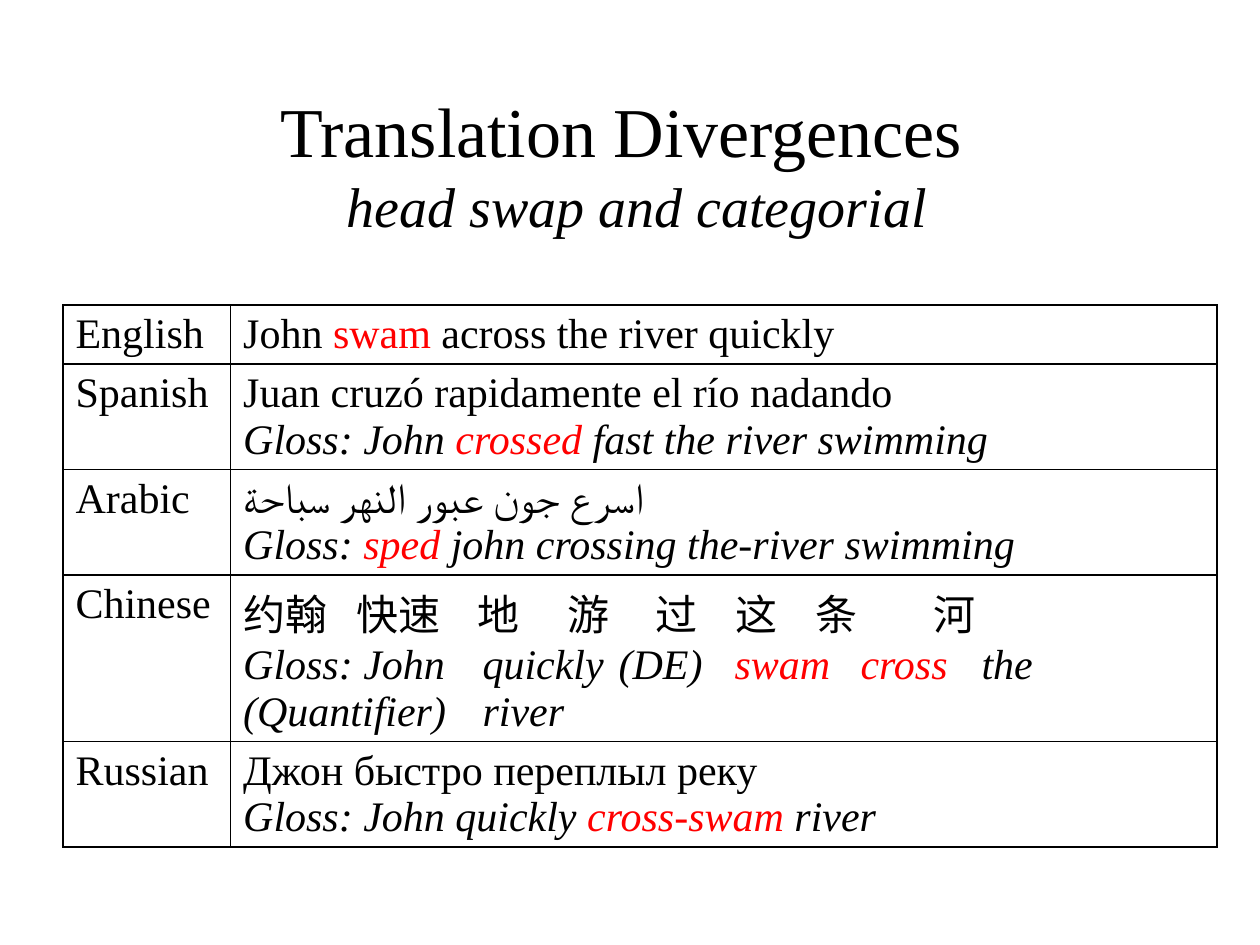
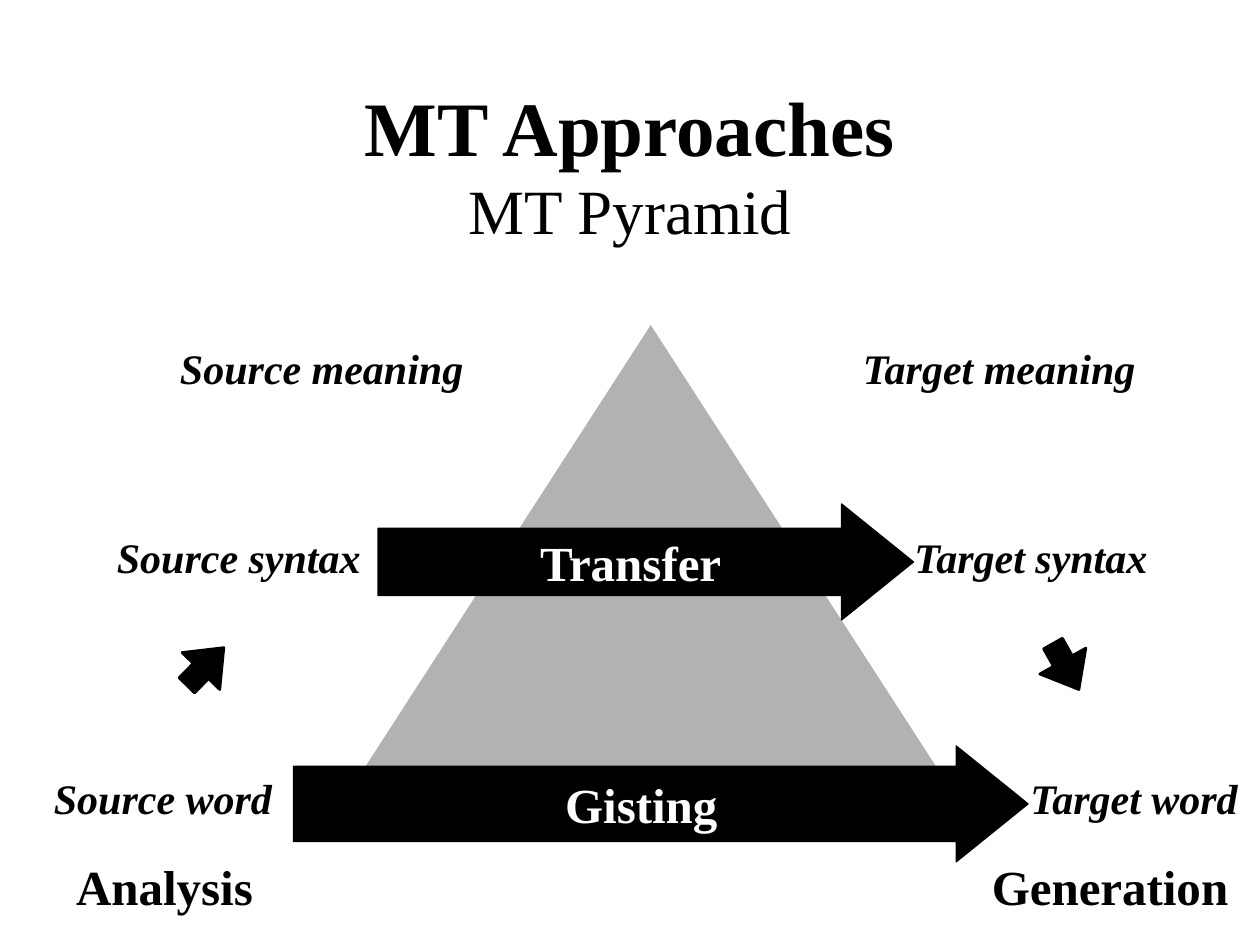
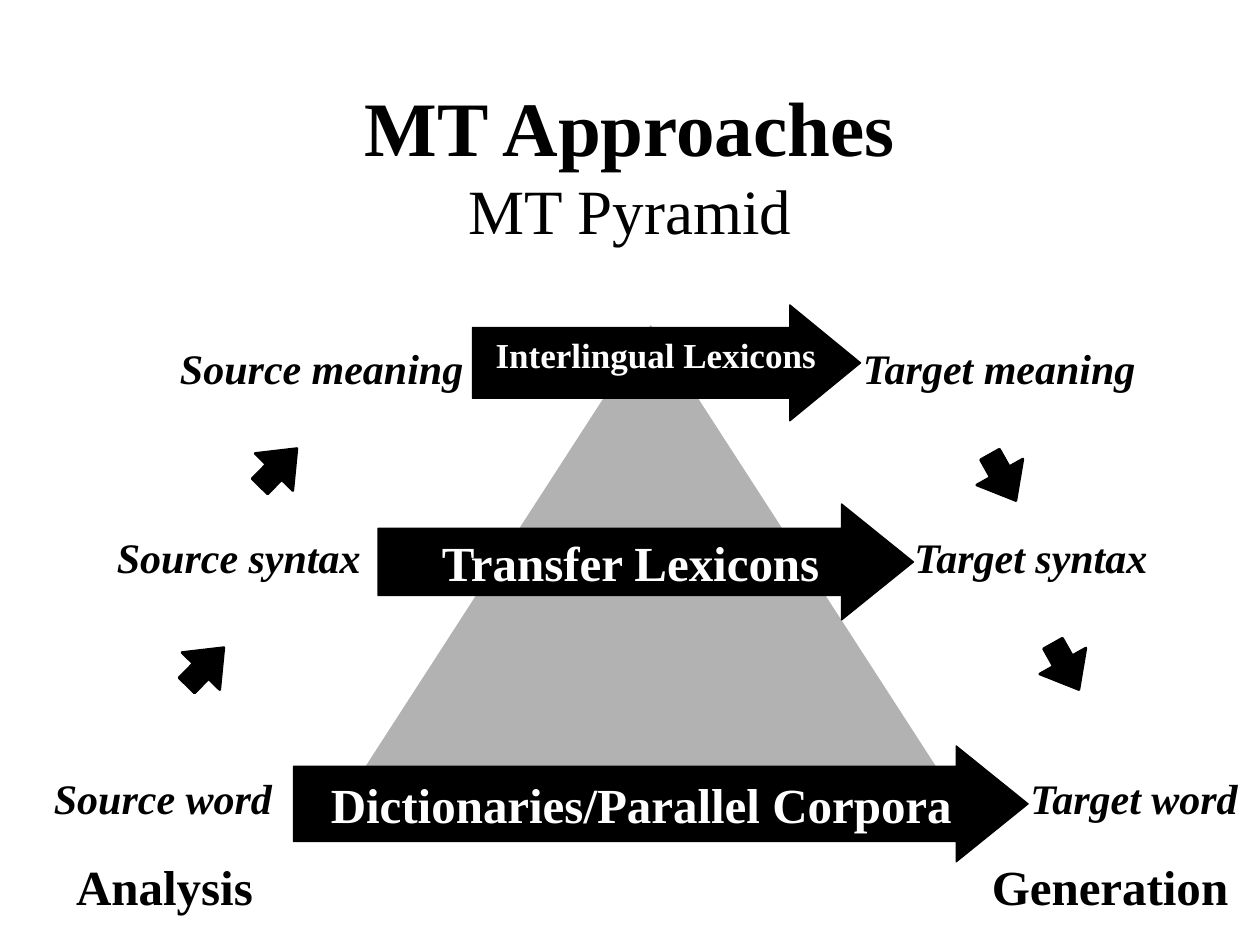
"""Build three slides on translation divergences and the MT pyramid."""
from copy import deepcopy
from dataclasses import dataclass

from pptx import Presentation
from pptx.dml.color import RGBColor
from pptx.enum.shapes import MSO_SHAPE
from pptx.enum.text import MSO_ANCHOR, MSO_AUTO_SIZE, PP_ALIGN
from pptx.oxml.ns import qn
from pptx.util import Inches, Pt
from lxml.etree import SubElement


@dataclass(frozen=True)
class Theme:
    """Colours, fonts and type sizes of the deck."""
    black: RGBColor = RGBColor(0x00, 0x00, 0x00)
    white: RGBColor = RGBColor(0xFF, 0xFF, 0xFF)
    red: RGBColor = RGBColor(0xFF, 0x00, 0x00)
    grey: RGBColor = RGBColor(0xB2, 0xB2, 0xB2)
    font: str = "Times New Roman"
    cjk: str = "Noto Sans CJK SC"
    title: Pt = Pt(44)
    title_small: Pt = Pt(40)
    subtitle: Pt = Pt(36)
    subtitle_small: Pt = Pt(32)
    heading: Pt = Pt(28)
    text: Pt = Pt(24)
    small: Pt = Pt(20)


T = Theme()
LABEL = {"size": T.text, "bold": True, "italic": True}
HEADING = {"size": T.heading, "bold": True}

WORD_STOPS = (0.9, 1.86, 2.57, 3.27, 3.91, 4.54, 5.48)
GLOSS_STOPS = (1.9, 2.98, 3.9, 4.9, 5.86)
SENTENCES = [
    ("English", None, ("John ", "swam", " across the river quickly")),
    ("Spanish", "Juan cruzó rapidamente el río nadando",
     ("Gloss: John ", "crossed", " fast the river swimming")),
    ("Arabic", "اسرع جون عبور النهر سباحة",
     ("Gloss: ", "sped", " john crossing the-river swimming")),
    ("Chinese", "约翰\t快速\t地\t游\t过\t这\t条\t河",
     ("Gloss: John\tquickly\t(DE)\t", "swam\tcross",
      "\tthe (Quantifier)\triver")),
    ("Russian", "Джон быстро переплыл реку",
     ("Gloss: John quickly ", "cross-swam", " river")),
]
SIDE_LABELS = [
    ("Source word", 0.33, 6.08, 2.5), ("Source syntax", 0.83, 4.17, 2.84),
    ("Source meaning", 1.33, 2.67, 3.09), ("Target meaning", 6.75, 2.67, 2.59),
    ("Target syntax", 7.16, 4.17, 2.84), ("Target word", 8.08, 6.08, 1.92),
]
LEVELS = {
    "meaning": {"arrow": (3.75, 2.42, 3.08), "label": (3.83, 2.6, 2.75, 0.43),
                "adj": (0.61, 0.61), "size": T.small},
    "word": {"arrow": (2.33, 5.92, 5.83), "label": (2.49, 6.1, 5.2, 0.57),
             "adj": (0.65, 0.62), "size": T.heading},
    "syntax": {"arrow": (3, 4, 4.25), "label": (3.11, 4.18, 3.79, 0.57),
               "adj": (0.58, 0.62), "size": T.heading},
}
UP, DOWN = 314.5, 60.6
LOWER_STEPS = [(1.42, 5.08, UP), (8.25, 5.08, DOWN)]
UPPER_STEPS = [(2, 3.5, UP), (7.75, 3.58, DOWN)]


def add_run(p, text, color=T.black, **fmt):
    """Add a formatted run that uses one font for every script."""
    r = p.add_run()
    r.text = text
    fmt = {"name": T.font, "bold": False, "italic": False, **fmt}
    for key, value in fmt.items():
        setattr(r.font, key, value)
    r.font.color.rgb = color
    for tag in ("a:ea", "a:cs"):
        SubElement(r._r.rPr, qn(tag), typeface=fmt["name"])
    return r


def add_tabs(p, stops):
    """Give a paragraph left tab stops, in inches."""
    tabs = SubElement(p._p.get_or_add_pPr(), qn("a:tabLst"))
    for stop in stops:
        SubElement(tabs, qn("a:tab"), pos=str(Inches(stop)), algn="l")


def add_slide(prs, title, title_fmt, subtitle, subtitle_fmt):
    """Add a slide with a two-line title."""
    s = prs.slides.add_slide(prs.slide_layouts[5])
    sp = s.shapes.title
    box = {"left": 0.75, "top": 0.67, "width": 8.5, "height": 1.25}
    for key, value in box.items():
        setattr(sp, key, Inches(value))
    tf = sp.text_frame
    tf.auto_size = MSO_AUTO_SIZE.NONE
    tf.vertical_anchor = MSO_ANCHOR.MIDDLE
    p = tf.paragraphs[0]
    p.alignment = PP_ALIGN.CENTER
    r = add_run(p, title, **title_fmt)
    p.add_line_break()
    p._p[-1].append(deepcopy(r._r.rPr))
    add_run(p, subtitle, **subtitle_fmt)
    return s


def add_label(s, text, box, align=PP_ALIGN.LEFT, wrap=True, **fmt):
    """Add a one-line text box."""
    tf = s.shapes.add_textbox(*map(Inches, box)).text_frame
    tf.word_wrap = wrap
    tf.auto_size = MSO_AUTO_SIZE.SHAPE_TO_FIT_TEXT
    p = tf.paragraphs[0]
    p.alignment = align
    add_run(p, text, **fmt)


def add_figure(s, kind, box, adj, fill, line=None, rotation=0):
    """Add a filled preset shape, outlined if a line width is given."""
    sp = s.shapes.add_shape(kind, *map(Inches, box))
    sp.shadow.inherit = False
    sp.rotation = rotation
    for i, value in enumerate(adj):
        sp.adjustments[i] = value
    sp.fill.solid()
    sp.fill.fore_color.rgb = fill
    if line:
        sp.line.color.rgb = fill
        sp.line.width = Pt(line)
    else:
        sp.line.fill.background()


def add_level(s, text, arrow, label, adj, size):
    """Add a wide arrow across the pyramid with its label."""
    add_figure(s, MSO_SHAPE.RIGHT_ARROW, (*arrow, 0.92), adj, T.black, 0.75)
    add_label(s, text, label, PP_ALIGN.CENTER,
              color=T.white, size=size, bold=True)


def style_cell(cell):
    """Clear a cell's fill and draw its four borders."""
    tcPr = cell._tc.get_or_add_tcPr()
    for side in "LRTB":
        ln = SubElement(tcPr, qn(f"a:ln{side}"), w=str(Pt(1)))
        fill = SubElement(ln, qn("a:solidFill"))
        SubElement(fill, qn("a:srgbClr"), val=str(T.black))
    cell.fill.background()


def add_sentences(s):
    """Add the table of sentences with their glosses."""
    box = map(Inches, (0.5, 2.42, 9.17, 2.3))
    table = s.shapes.add_table(len(SENTENCES), 2, *box).table
    table.first_row = table.horz_banding = False
    for col, width in zip(table.columns, (1.33, 7.83)):
        col.width = Inches(width)
    for i, (language, sentence, gloss) in enumerate(SENTENCES):
        table.rows[i].height = Inches(0.5 if sentence else 0.3)
        name, content = table.cell(i, 0), table.cell(i, 1)
        style_cell(name)
        style_cell(content)
        add_run(name.text_frame.paragraphs[0], language, size=T.text)
        tf = content.text_frame
        p = tf.paragraphs[0]
        if sentence:
            spaced = "\t" in sentence
            if spaced:
                add_tabs(p, WORD_STOPS)
            add_run(p, sentence, size=T.text, name=T.cjk if spaced else T.font)
            p = tf.add_paragraph()
            if spaced:
                add_tabs(p, GLOSS_STOPS)
        for text, color in zip(gloss, (T.black, T.red, T.black)):
            add_run(p, text, color, size=T.text, italic=bool(sentence))


def add_pyramid(prs, levels, steps):
    """Add a pyramid slide with the given level arrows and step arrows."""
    s = add_slide(prs, "MT Approaches", {"size": T.title, "bold": True},
                  "MT Pyramid", {"size": T.subtitle})
    add_figure(s, MSO_SHAPE.ISOSCELES_TRIANGLE, (2.58, 2.58, 5.17, 4),
               (0.5,), T.grey)
    for text, left, top, width in SIDE_LABELS:
        add_label(s, text, (left, top, width, 0.5), **LABEL)
    for text, left, width in (("Analysis", 0.5, 1.61),
                              ("Generation", 7.77, 2.08)):
        add_label(s, text, (left, 6.75, width, 0.57), PP_ALIGN.CENTER,
                  wrap=False, **HEADING)
    for level, text in levels.items():
        add_level(s, text, **LEVELS[level])
    for left, top, rotation in steps:
        add_figure(s, MSO_SHAPE.RIGHT_ARROW, (left, top, 0.42, 0.42),
                   (0.41, 0.62), T.black, 1.5, rotation)


def main():
    """Build and save the deck."""
    prs = Presentation()
    prs.slide_width, prs.slide_height = Inches(10), Inches(7.5)
    s = add_slide(prs, "Translation Divergences ", {"size": T.title_small},
                  " head swap and categorial",
                  {"size": T.subtitle_small, "italic": True})
    add_sentences(s)
    add_pyramid(prs, {"word": "Gisting", "syntax": "Transfer"}, LOWER_STEPS)
    add_pyramid(prs, {"meaning": "Interlingual Lexicons",
                      "word": "Dictionaries/Parallel Corpora",
                      "syntax": "Transfer Lexicons"},
                UPPER_STEPS + LOWER_STEPS)
    prs.save("out.pptx")


if __name__ == "__main__":
    main()
